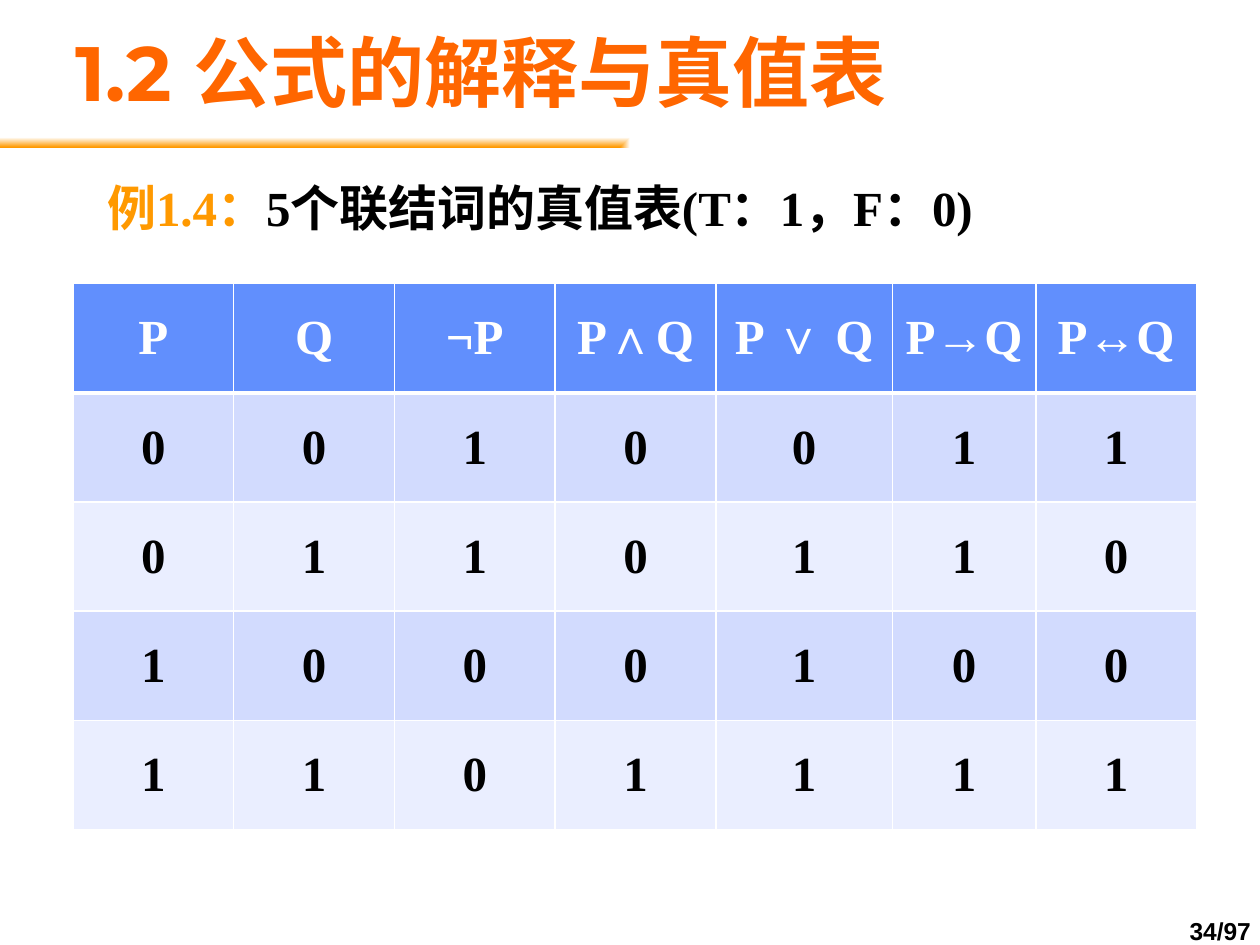
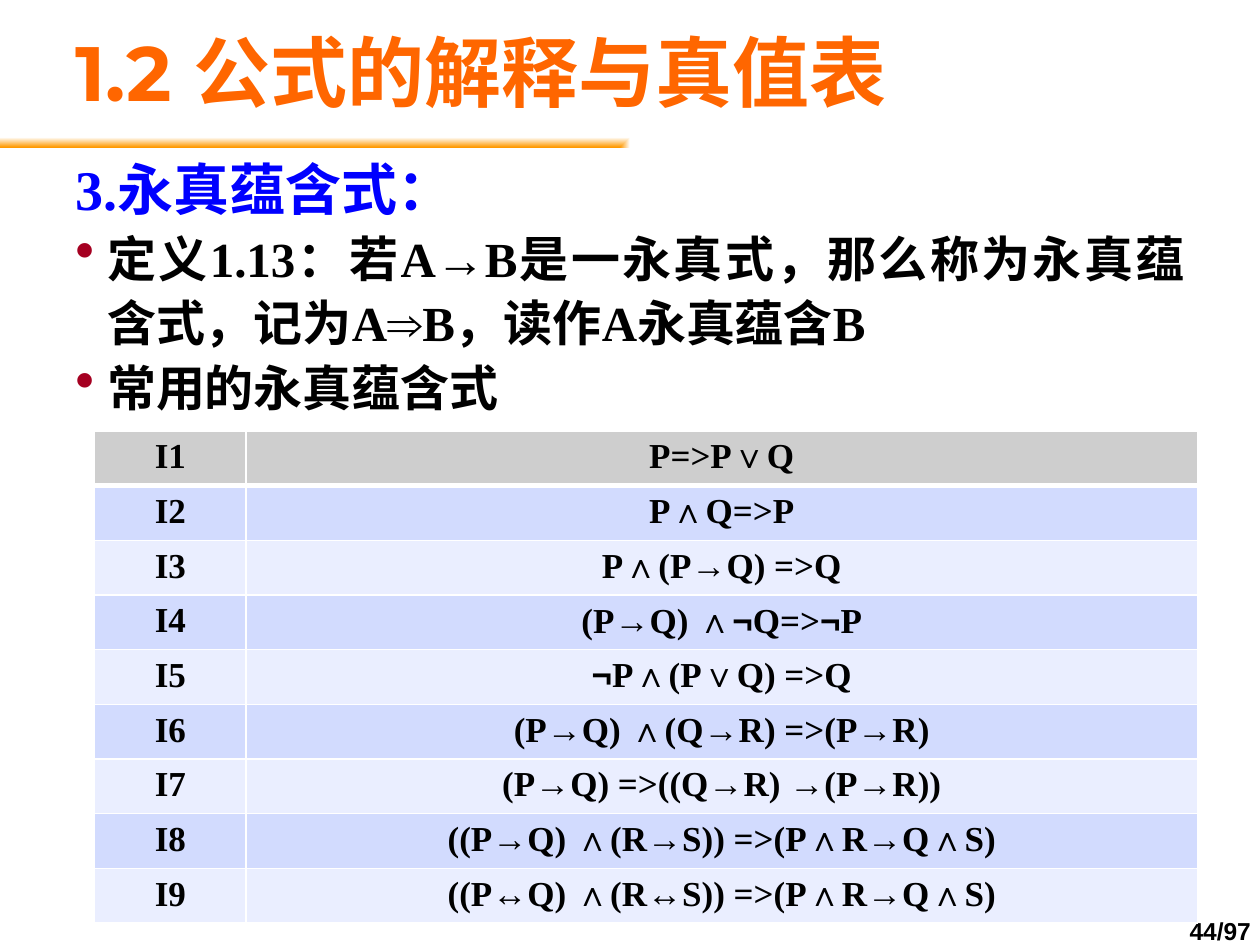
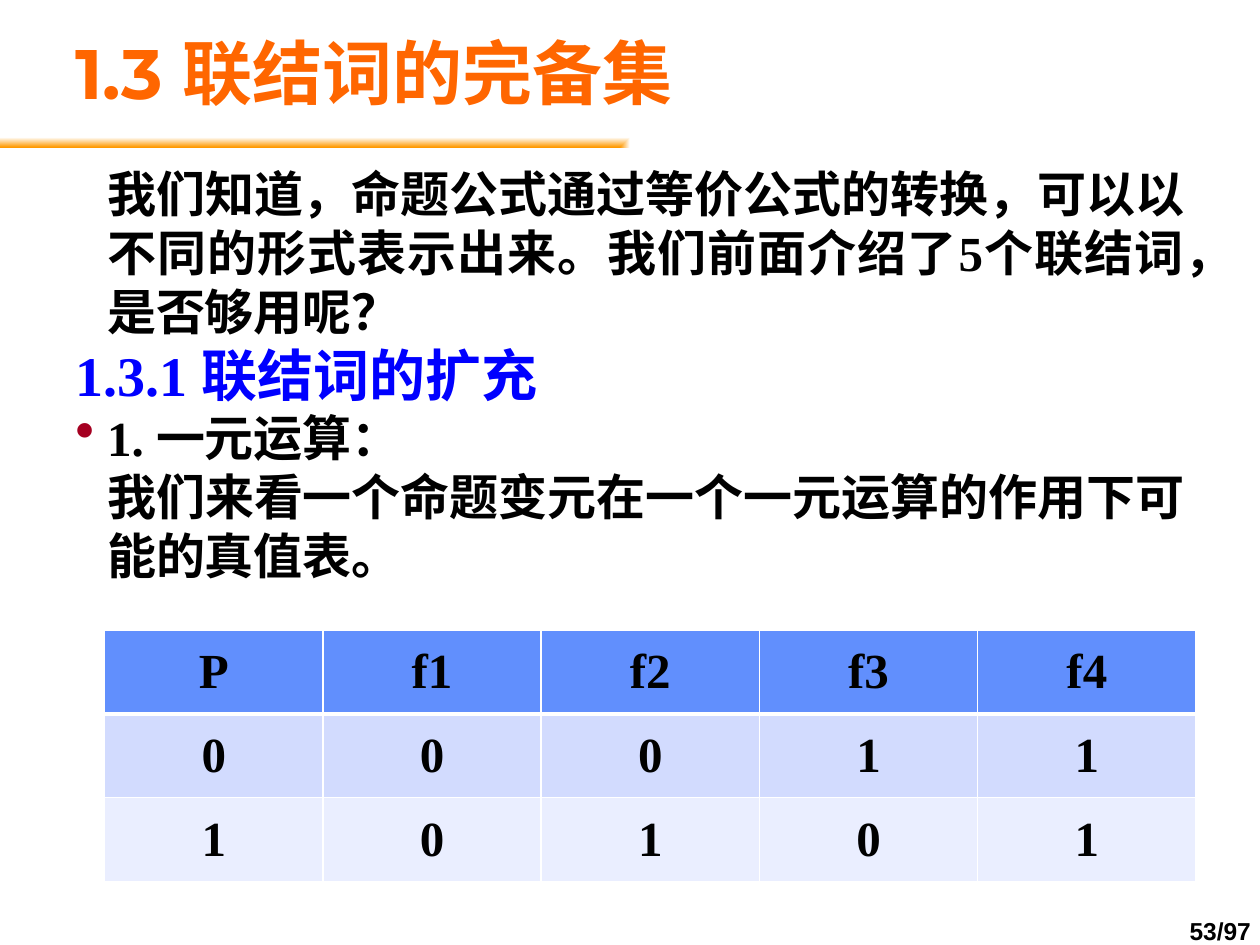
import dataclasses

import pptx
import pptx.dml.color
import pptx.enum.lang
import pptx.enum.shapes
import pptx.enum.text
import pptx.oxml
import pptx.oxml.ns
import pptx.util
from lxml import etree

Cm = pptx.util.Cm
Pt = pptx.util.Pt
qn = pptx.oxml.ns.qn
ALIGN = pptx.enum.text.PP_ALIGN
ANCHOR = pptx.enum.text.MSO_ANCHOR


# Theme
@dataclasses.dataclass(frozen=True)
class Theme:
    ink: str = "000000"
    white: str = "FFFFFF"
    title: str = "FF6600"
    accent: str = "FF9900"
    heading: str = "0000FF"
    bullet: str = "A50021"
    table_blue: str = "618FFD"
    table_grey: str = "CECECE"
    row_dark: str = "D2DBFE"
    row_light: str = "EAEEFF"
    title_font: str = "Montserrat"
    body_font: str = "Times New Roman"
    plain_font: str = "Arial"
    title_size: int = 44
    heading_size: int = 32
    body_size: int = 28
    formula_size: int = 20
    footer_size: int = 14
    hanging: float = 0.64


THEME = Theme()


# Descriptions of the repeated elements
@dataclasses.dataclass(frozen=True)
class Span:
    text: str
    color: str | None = None
    font: str | None = None


@dataclasses.dataclass(frozen=True)
class Para:
    spans: tuple[Span, ...]
    size: int = THEME.body_size
    color: str = THEME.ink
    font: str = THEME.body_font
    align: ALIGN = ALIGN.LEFT
    spacing: float = 1.0
    margin: float = 0
    indent: float = 0
    bullet: bool = False


@dataclasses.dataclass(frozen=True)
class Area:
    left: float
    top: float
    width: float
    height: float


@dataclasses.dataclass(frozen=True)
class Grid:
    left: float
    top: float
    columns: tuple[float, ...]
    row_height: float
    rows: tuple[tuple[str, ...], ...]
    header_fill: str = THEME.table_blue
    header_color: str = THEME.ink
    size: int = THEME.body_size
    anchor: ANCHOR = ANCHOR.MIDDLE
    negation_font: str | None = None


@dataclasses.dataclass(frozen=True)
class Lesson:
    title: str
    number: int
    body_area: Area
    body: tuple[Para, ...]
    grid: Grid
    title_size: int = THEME.title_size


# Paragraph kinds of the body
def heading(text: str, **style) -> Para:
    return Para((Span(text),), THEME.heading_size, THEME.heading,
                margin=THEME.hanging, indent=-THEME.hanging, **style)


def bullet(text: str, **style) -> Para:
    return Para((Span(text),), align=ALIGN.JUSTIFY, margin=THEME.hanging,
                indent=-THEME.hanging, bullet=True, **style)


def inset(text: str) -> Para:
    return Para((Span(text),), align=ALIGN.JUSTIFY, margin=THEME.hanging)


# Text
def rgb(color: str) -> pptx.dml.color.RGBColor:
    return pptx.dml.color.RGBColor.from_string(color)


def add_bullet(properties) -> None:
    color = etree.SubElement(properties, qn("a:buClr"))
    etree.SubElement(color, qn("a:srgbClr"), val=THEME.bullet)
    etree.SubElement(properties, qn("a:buSzPct"), val="114000")
    etree.SubElement(properties, qn("a:buChar"), char="•")


def write_para(paragraph, para: Para) -> None:
    paragraph.alignment = para.align
    if para.spacing != 1:
        paragraph.line_spacing = para.spacing
    properties = paragraph._p.get_or_add_pPr()
    if para.margin:
        properties.set("marL", str(Cm(para.margin)))
        properties.set("indent", str(Cm(para.indent)))
    if para.bullet:
        add_bullet(properties)
    font = paragraph.font
    font.name, font.size, font.bold = para.font, Pt(para.size), True
    font.color.rgb = rgb(para.color)
    font.language_id = pptx.enum.lang.MSO_LANGUAGE_ID.SIMPLIFIED_CHINESE
    for span in para.spans:
        run = paragraph.add_run()
        run.text = span.text
        if span.color:
            run.font.color.rgb = rgb(span.color)
        if span.font:
            run.font.name = span.font


def add_text(page, area: Area, paras: tuple[Para, ...],
             anchor: ANCHOR = ANCHOR.TOP, wrap: bool = True) -> None:
    box = page.shapes.add_textbox(Cm(area.left), Cm(area.top),
                                  Cm(area.width), Cm(area.height))
    frame = box.text_frame
    frame.word_wrap = wrap
    frame.vertical_anchor = anchor
    for index, para in enumerate(paras):
        write_para(frame.add_paragraph() if index else frame.paragraphs[0], para)


# Shared frame: page number, gradient band, title
def add_band(page) -> None:
    band = page.shapes.add_shape(pptx.enum.shapes.MSO_SHAPE.RECTANGLE,
                                 0, Cm(2.57), Cm(25.4), Cm(0.4))
    band.shadow.inherit = False
    band.line.fill.background()
    band.fill.gradient()
    for stop, color, position in zip(band.fill.gradient_stops,
                                     (THEME.accent, THEME.white), (0, 1)):
        stop.color.rgb = rgb(color)
        stop.position = position
    gradient = band._element.spPr.find(qn("a:gradFill"))
    linear = gradient.find(qn("a:lin"))
    corner = etree.Element(qn("a:path"), {"path": "rect"})
    etree.SubElement(corner, qn("a:fillToRect"), t="100000", r="100000")
    gradient.replace(linear, corner)


def add_frame(page, lesson: Lesson) -> None:
    number = Para((Span(f"{lesson.number}/97"),), THEME.footer_size,
                  font=THEME.plain_font, align=ALIGN.CENTER, spacing=0.85)
    add_text(page, Area(23.7, 18.42, 1.8, 0.76), (number,), ANCHOR.MIDDLE, wrap=False)
    add_band(page)
    title = Para((Span(lesson.title),), lesson.title_size, THEME.title,
                 THEME.title_font, spacing=0.93)
    add_text(page, Area(1.27, 0.64, 22.86, 1.78), (title,), ANCHOR.MIDDLE)


# Tables
def set_borders(cell, top: int, bottom: int) -> None:
    properties = cell._tc.get_or_add_tcPr()
    widths = {"a:lnL": 1, "a:lnR": 1, "a:lnT": top, "a:lnB": bottom}
    for index, (tag, width) in enumerate(widths.items()):
        line = etree.Element(qn(tag), w=str(Pt(width)))
        fill = etree.SubElement(line, qn("a:solidFill"))
        etree.SubElement(fill, qn("a:srgbClr"), val=THEME.white)
        properties.insert(index, line)


def cell_spans(text: str, negation_font: str | None) -> tuple[Span, ...]:
    if not negation_font:
        return (Span(text),)
    head, *tails = text.split("¬")
    spans = [Span(head)] if head else []
    for tail in tails:
        spans += [Span("¬", font=negation_font), Span(tail)]
    return tuple(spans)


def add_grid(page, grid: Grid) -> None:
    table = page.shapes.add_table(
        len(grid.rows), len(grid.columns), Cm(grid.left), Cm(grid.top),
        Cm(sum(grid.columns)), Cm(grid.row_height * len(grid.rows))).table
    for column, width in zip(table.columns, grid.columns):
        column.width = Cm(width)
    for index, texts in enumerate(grid.rows):
        table.rows[index].height = Cm(grid.row_height)
        stripe = THEME.row_dark if index % 2 else THEME.row_light
        for cell, text in zip(table.rows[index].cells, texts):
            cell.fill.solid()
            cell.fill.fore_color.rgb = rgb(stripe if index else grid.header_fill)
            cell.vertical_anchor = grid.anchor
            cell.margin_left = cell.margin_right = Cm(0.2)
            set_borders(cell, top=3 if index == 1 else 1, bottom=1 if index else 3)
            color = THEME.ink if index else grid.header_color
            write_para(cell.text_frame.paragraphs[0],
                       Para(cell_spans(text, grid.negation_font), grid.size,
                            color, align=ALIGN.CENTER))


# Content
FORMULAS = (
    "P=>P∨Q",
    "P∧Q=>P",
    "P∧(P→Q) =>Q",
    "(P→Q) ∧¬Q=>¬P",
    "¬P∧(P∨Q) =>Q",
    "(P→Q) ∧(Q→R) =>(P→R)",
    "(P→Q) =>((Q→R) →(P→R))",
    "((P→Q) ∧(R→S)) =>(P∧R→Q∧S)",
    "((P↔Q) ∧(R↔S)) =>(P∧R→Q∧S)",
)

LESSONS = (
    Lesson(
        "1.2 公式的解释与真值表", 34, Area(1.27, 3.61, 22.86, 1.9),
        (Para((Span("例1.4：", THEME.accent),
               Span("5个联结词的真值表(T：1，F：0)")),
              spacing=0.87, margin=THEME.hanging),),
        Grid(1.47, 5.72, (3.24,) * 4 + (3.56, 2.89, 3.24), 2.2,
             (("P", "Q", "¬P", "P∧Q", "P ∨ Q", "P→Q", "P↔Q"),
              tuple("0010011"), tuple("0110110"),
              tuple("1000100"), tuple("1101111")),
             header_color=THEME.white),
    ),
    Lesson(
        "1.2 公式的解释与真值表", 44, Area(1.27, 3.18, 22.86, 5.08),
        (heading("3.永真蕴含式：", spacing=0.87),
         bullet("定义1.13：若A→B是一永真式，那么称为永真蕴含式，"
                "记为A⇒B，读作A永真蕴含B", spacing=1.1),
         bullet("常用的永真蕴含式", spacing=1.1)),
        Grid(1.91, 8.69, (3.05, 19.18), 1.1,
             tuple((f"I{index}", formula)
                   for index, formula in enumerate(FORMULAS, start=1)),
             header_fill=THEME.table_grey, size=THEME.formula_size,
             anchor=ANCHOR.TOP, negation_font=THEME.plain_font),
    ),
    Lesson(
        "1.3 联结词的完备集", 53, Area(1.27, 3.18, 22.86, 8.89),
        (inset("我们知道，命题公式通过等价公式的转换，可以以不同的形式表示出来。"
               "我们前面介绍了5个联结词，是否够用呢？"),
         heading("1.3.1 联结词的扩充", align=ALIGN.JUSTIFY),
         bullet("1. 一元运算："),
         inset("我们来看一个命题变元在一个一元运算的作用下可能的真值表。")),
        Grid(2.11, 12.7, (4.4,) * 5, 1.69,
             (("P", "f1", "f2", "f3", "f4"), tuple("00011"), tuple("10101"))),
        title_size=40,
    ),
)


def main() -> None:
    deck = pptx.Presentation()
    deck.slide_width, deck.slide_height = Cm(25.4), Cm(19.05)
    for lesson in LESSONS:
        page = deck.slides.add_slide(deck.slide_layouts[6])
        add_frame(page, lesson)
        add_text(page, lesson.body_area, lesson.body)
        add_grid(page, lesson.grid)
    deck.save("out.pptx")


if __name__ == "__main__":
    main()
